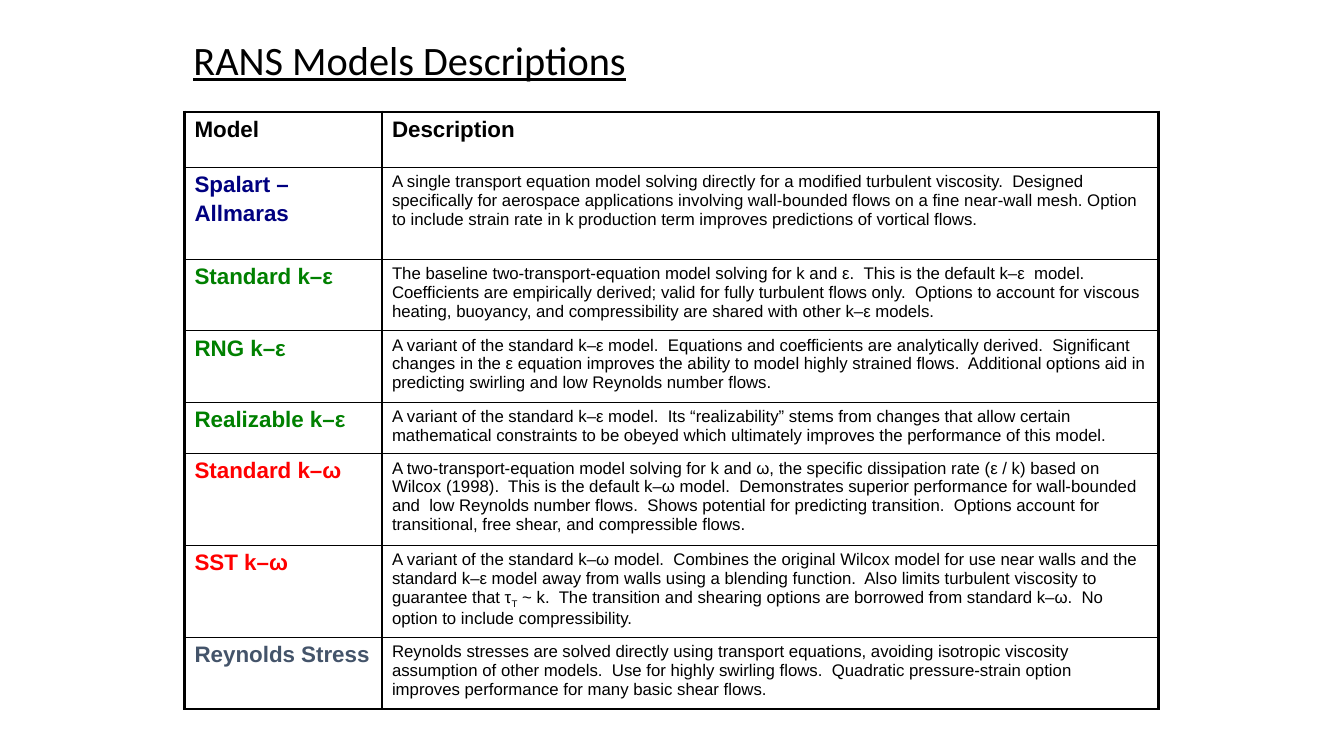
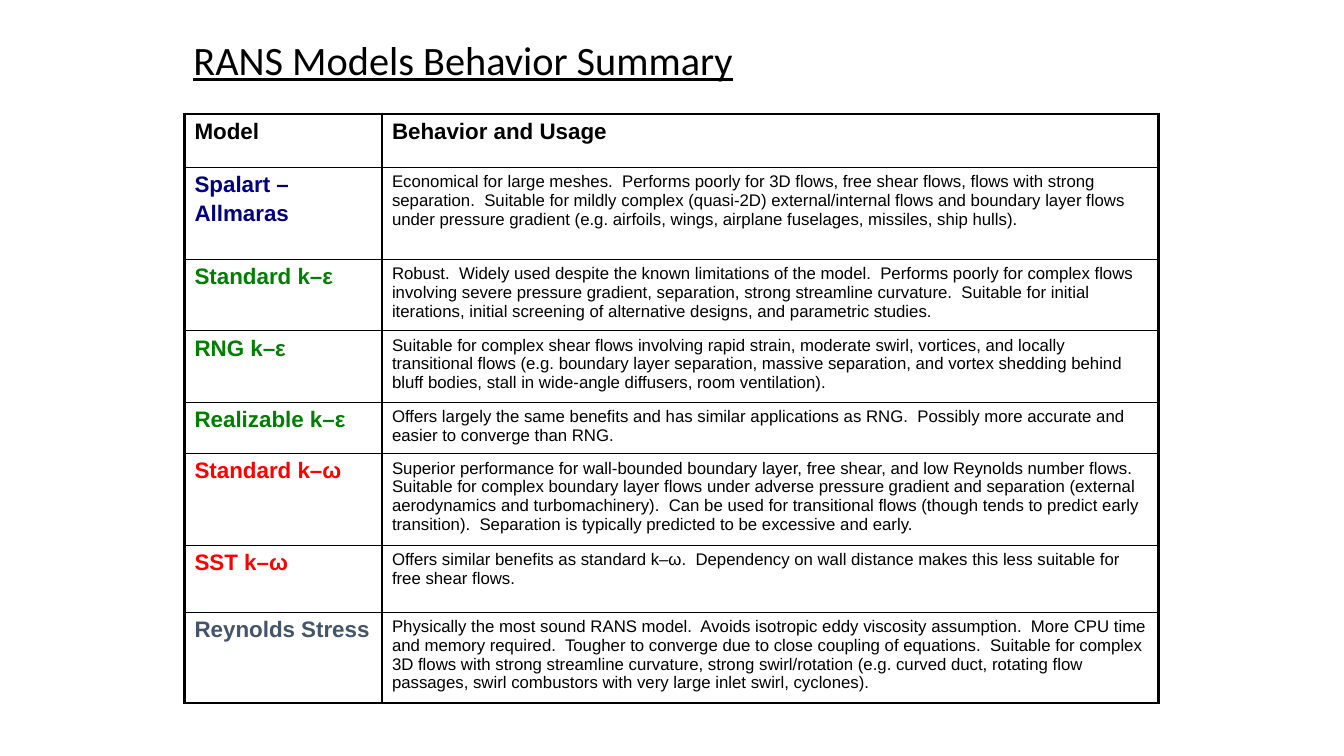
from dataclasses import dataclass

from lxml import etree
from pptx import Presentation
from pptx.dml.color import RGBColor
from pptx.enum.text import MSO_ANCHOR, MSO_AUTO_SIZE, PP_ALIGN
from pptx.oxml.ns import qn
from pptx.slide import Slide
from pptx.table import _Cell
from pptx.util import Pt

LEFT = PP_ALIGN.LEFT
MIDDLE = MSO_ANCHOR.MIDDLE
NO_AUTOFIT = MSO_AUTO_SIZE.NONE

BLACK = RGBColor(0x00, 0x00, 0x00)
NAVY = RGBColor(0x00, 0x00, 0x80)
GREEN = RGBColor(0x00, 0x80, 0x00)
RED = RGBColor(0xFF, 0x00, 0x00)
SLATE = RGBColor(0x44, 0x54, 0x6A)

TITLE_FONT = "Calibri"
TABLE_FONT = "Arial"
TITLE_ONLY_LAYOUT = 5
TABLE_LEFT = 131.8
COLUMN_WIDTHS = (141, 554.5)
OUTER_LINE = 2.25
INNER_LINE = 1


@dataclass(frozen=True)
class Run:
    text: str
    subscript: bool = False


@dataclass(frozen=True)
class TextStyle:
    size: float
    color: RGBColor = BLACK
    bold: bool = False


@dataclass(frozen=True)
class Model:
    lines: tuple[str, ...]
    color: RGBColor


@dataclass(frozen=True)
class Entry:
    """What one slide says about a model, with the height of its row."""
    height: float
    runs: tuple[Run, ...]


@dataclass(frozen=True)
class ModelSlide:
    title: str
    table_top: float
    header_height: float
    heading: str
    entries: tuple[Entry, ...]


HEADER_STYLE = TextStyle(16, bold=True)
BODY_STYLE = TextStyle(12)

MODELS = (
    Model(("Spalart –", "Allmaras"), NAVY),
    Model(("Standard k–ε",), GREEN),
    Model(("RNG k–ε",), GREEN),
    Model(("Realizable k–ε",), GREEN),
    Model(("Standard k–ω",), RED),
    Model(("SST k–ω",), RED),
    Model(("Reynolds Stress",), SLATE),
)

SLIDES = (
    ModelSlide("RANS Models Descriptions", 79.9, 39.6, "Description", (
        Entry(65.6, (Run(
            "A single transport equation model solving directly for a modified turbulent "
            "viscosity.  Designed specifically for aerospace applications involving "
            "wall-bounded flows on a fine near-wall mesh. Option to include strain rate in k "
            "production term improves predictions of vortical flows."),)),
        Entry(51.2, (Run(
            "The baseline two-transport-equation model solving for k and ε.  This is the "
            "default k–ε  model.  Coefficients are empirically derived; valid for fully "
            "turbulent flows only.  Options to account for viscous heating, buoyancy, and "
            "compressibility are shared with other k–ε models."),)),
        Entry(51.2, (Run(
            "A variant of the standard k–ε model.  Equations and coefficients are "
            "analytically derived.  Significant changes in the ε equation improves the "
            "ability to model highly strained flows.  Additional options aid in predicting "
            "swirling and low Reynolds number flows."),)),
        Entry(36.6, (Run(
            "A variant of the standard k–ε model.  Its “realizability” stems from changes "
            "that allow certain mathematical constraints to be obeyed which ultimately "
            "improves the performance of this model."),)),
        Entry(65.6, (Run(
            "A two-transport-equation model solving for k and ω, the specific dissipation "
            "rate (ε / k) based on Wilcox (1998).  This is the default k–ω model.  "
            "Demonstrates superior performance for wall-bounded  and  low Reynolds number "
            "flows.  Shows potential for predicting transition.  Options account for "
            "transitional, free shear, and compressible flows."),)),
        Entry(65.6, (
            Run("A variant of the standard k–ω model.  Combines the original Wilcox model for "
                "use near walls and the standard k–ε model away from walls using a blending "
                "function.  Also limits turbulent viscosity to guarantee that τ"),
            Run("T", subscript=True),
            Run(" ~ k.  The transition and shearing options are borrowed from standard k–ω.  "
                "No option to include compressibility."))),
        Entry(51.2, (Run(
            "Reynolds stresses are solved directly using transport equations, avoiding "
            "isotropic viscosity assumption of other models.  Use for highly swirling flows.  "
            "Quadratic pressure-strain option  improves performance for many basic shear "
            "flows."),)),
    )),
    ModelSlide("RANS Models Behavior Summary", 81.4, 38.1, "Behavior and Usage", (
        Entry(65.6, (Run(
            "Economical for large meshes.  Performs poorly for 3D flows, free shear flows, "
            "flows with strong separation.  Suitable for mildly complex (quasi-2D) "
            "external/internal flows and boundary layer flows under pressure gradient (e.g. "
            "airfoils, wings, airplane fuselages, missiles, ship hulls)."),)),
        Entry(51.2, (Run(
            "Robust.  Widely used despite the known limitations of the model.  Performs "
            "poorly for complex flows involving severe pressure gradient, separation, strong "
            "streamline curvature.  Suitable for initial iterations, initial screening of "
            "alternative designs, and parametric studies."),)),
        Entry(51.2, (Run(
            "Suitable for complex shear flows involving rapid strain, moderate swirl, "
            "vortices, and locally transitional flows (e.g. boundary layer separation, "
            "massive separation, and vortex shedding behind bluff bodies, stall in "
            "wide-angle diffusers, room ventilation)."),)),
        Entry(36.6, (Run(
            "Offers largely the same benefits and has similar applications as RNG.  Possibly "
            "more accurate and easier to converge than RNG."),)),
        Entry(65.6, (Run(
            "Superior performance for wall-bounded boundary layer, free shear, and low "
            "Reynolds number flows.  Suitable for complex boundary layer flows under adverse "
            "pressure gradient and separation (external aerodynamics and turbomachinery).  "
            "Can be used for transitional flows (though tends to predict early transition).  "
            "Separation is typically predicted to be excessive and early."),)),
        Entry(47.6, (Run(
            "Offers similar benefits as standard k–ω.  Dependency on wall distance makes this "
            "less suitable for free shear flows."),)),
        Entry(64.9, (Run(
            "Physically the most sound RANS model.  Avoids isotropic eddy viscosity "
            "assumption.  More CPU time and memory required.  Tougher to converge due to "
            "close coupling of equations.  Suitable for complex 3D flows with strong "
            "streamline curvature, strong swirl/rotation (e.g. curved duct, rotating flow "
            "passages, swirl combustors with very large inlet swirl, cyclones)."),)),
    )),
)


def add_title(slide: Slide, text: str) -> None:
    title = slide.shapes.title
    title.left, title.top, title.width, title.height = Pt(131), Pt(26.6), Pt(546), Pt(36)
    frame = title.text_frame
    frame.word_wrap = True
    frame.auto_size = NO_AUTOFIT
    frame.vertical_anchor = MIDDLE
    paragraph = frame.paragraphs[0]
    paragraph.alignment = LEFT
    paragraph.line_spacing = 0.9
    run = paragraph.add_run()
    run.text = text
    run.font.name = TITLE_FONT
    run.font.size = Pt(28.8)
    run.font.underline = True
    run.font.color.rgb = BLACK


def write_cell(cell: _Cell, paragraphs: list[tuple[Run, ...]], style: TextStyle) -> None:
    frame = cell.text_frame
    for index, runs in enumerate(paragraphs):
        paragraph = frame.add_paragraph() if index else frame.paragraphs[0]
        if index:
            paragraph.space_before = Pt(0.2 * style.size)
        for part in runs:
            run = paragraph.add_run()
            run.text = part.text
            run.font.name = TABLE_FONT
            run.font.size = Pt(style.size)
            run.font.bold = style.bold
            run.font.color.rgb = style.color
            if part.subscript:
                run.font._element.set("baseline", "-25000")


def set_borders(cell: _Cell, outer_sides: dict[str, bool]) -> None:
    """Draw the four cell borders, thicker on the sides that are the table's edge."""
    properties = cell._tc.get_or_add_tcPr()
    for side, is_outer in outer_sides.items():
        width = Pt(OUTER_LINE if is_outer else INNER_LINE)
        line = etree.SubElement(properties, qn(f"a:ln{side}"), w=str(width))
        fill = etree.SubElement(line, qn("a:solidFill"))
        etree.SubElement(fill, qn("a:srgbClr"), val=str(BLACK))


def add_model_table(slide: Slide, content: ModelSlide) -> None:
    heights = [content.header_height, *(entry.height for entry in content.entries)]
    table = slide.shapes.add_table(
        len(heights), len(COLUMN_WIDTHS), Pt(TABLE_LEFT), Pt(content.table_top),
        Pt(sum(COLUMN_WIDTHS)), Pt(sum(heights))).table
    table.first_row = False
    table.horz_banding = False
    for column, width in zip(table.columns, COLUMN_WIDTHS):
        column.width = Pt(width)

    last_row, last_column = len(heights) - 1, len(COLUMN_WIDTHS) - 1
    for row_index, height in enumerate(heights):
        table.rows[row_index].height = Pt(height)
        for column_index in range(len(COLUMN_WIDTHS)):
            cell = table.cell(row_index, column_index)
            set_borders(cell, {"L": column_index == 0, "R": column_index == last_column,
                               "T": row_index == 0, "B": row_index == last_row})
            cell.fill.background()

    for column_index, heading in enumerate(("Model", content.heading)):
        write_cell(table.cell(0, column_index), [(Run(heading),)], HEADER_STYLE)
    for row_index, (model, entry) in enumerate(zip(MODELS, content.entries), start=1):
        write_cell(table.cell(row_index, 0), [(Run(line),) for line in model.lines],
                   TextStyle(16, model.color, bold=True))
        write_cell(table.cell(row_index, 1), [entry.runs], BODY_STYLE)


def main() -> None:
    presentation = Presentation()
    presentation.slide_width = Pt(960)
    presentation.slide_height = Pt(540)
    layout = presentation.slide_layouts[TITLE_ONLY_LAYOUT]
    for content in SLIDES:
        slide = presentation.slides.add_slide(layout)
        add_title(slide, content.title)
        add_model_table(slide, content)
    presentation.save("out.pptx")


if __name__ == "__main__":
    main()
